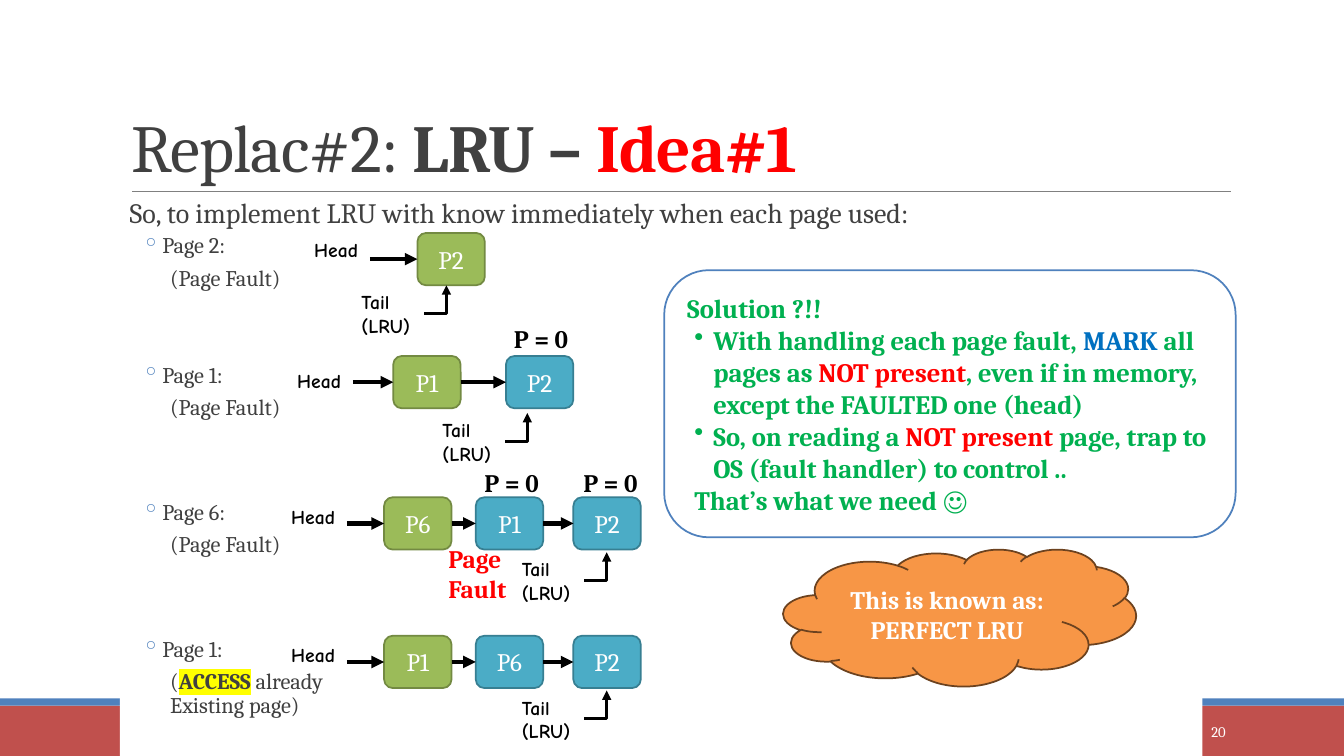
"""Build the slide on the first idea for LRU page replacement."""
from dataclasses import dataclass

from lxml.etree import SubElement
from pptx import Presentation
from pptx.dml.color import RGBColor
from pptx.enum.shapes import MSO_CONNECTOR as Link, MSO_SHAPE as Preset
from pptx.enum.text import MSO_ANCHOR as Anchor, MSO_AUTO_SIZE as AutoSize, PP_ALIGN as Align
from pptx.oxml.ns import qn
from pptx.util import Cm, Pt


@dataclass(frozen=True)
class Theme:
    serif: str = "Cambria"
    hand: str = "Comic Neue"
    ink: str = "404040"
    black: str = "000000"
    white: str = "FFFFFF"
    gray: str = "808080"
    red: str = "FF0000"
    bar_red: str = "C0504D"
    blue: str = "4F81BD"
    mark_blue: str = "0070C0"
    answer: str = "00B050"
    yellow: str = "FFFF00"
    orange: str = "F79646"
    brown: str = "6C421F"
    head_fill: str = "9BBB59"
    head_line: str = "738A42"
    page_fill: str = "4BACC6"
    page_line: str = "377F92"
    title: float = 48
    intro: float = 20
    solution: float = 19
    box: float = 18
    step: float = 16
    pointer: float = 14
    number: float = 10.5


THEME = Theme()
TITLE = [("Replac#2: ", {}), ("LRU – ", {"bold": True}), ("Idea#1", {"bold": True, "color": THEME.red})]
INTRO = "So, to implement LRU with know immediately when each page used:"
FAULT = [("(Page Fault)", {})]
ACCESS = [("(", {}), ("ACCESS", {"bold": True, "color": THEME.ink, "highlight": THEME.yellow}),
          (" already", {}), ("\v", {}), ("Existing page)", {})]
STEPS = [
    {"name": "Page 2:", "note": FAULT, "top": 5.9, "pages": [("P2", 10.52)], "page_top": 5.87,
     "head": (7.67, 5.87), "tail": (8.86, 7.19)},
    {"name": "Page 1:", "note": FAULT, "top": 9.17, "pages": [("P1", 9.91), ("P2", 12.75)], "page_top": 8.97,
     "head": (7.24, 9.17), "tail": (10.9, 10.41)},
    {"name": "Page 6:", "note": FAULT, "top": 12.62, "pages": [("P6", 9.68), ("P1", 11.99), ("P2", 14.45)],
     "page_top": 12.53, "head": (7.09, 12.6), "tail": (12.9, 13.92)},
    {"name": "Page 1:", "note": ACCESS, "top": 16.07, "pages": [("P1", 9.68), ("P6", 11.99), ("P2", 14.45)],
     "page_top": 16.02, "head": (7.09, 16.08), "tail": (12.9, 17.4)},
]
NOT_PRESENT = ("NOT present", {"color": THEME.red})
SOLUTION = [
    [("Solution ?!!", {})],
    [("With handling each page fault, ", {}), ("MARK", {"color": THEME.mark_blue}), (" all pages as ", {}),
     NOT_PRESENT, (", even if in memory, except the FAULTED one (head)", {})],
    [("So, on reading a ", {}), NOT_PRESENT, (" page, trap to OS (fault handler) to control ..", {})],
    [("That’s what we need ☺", {})],
]
SOLUTION_INDENTS = [(0, 0, None), (0.66, -0.48, "•"), (0.66, -0.48, "•"), (0.18, 0, None)]
CLOUD = "This is known as: PERFECT LRU"
PRESENT_BITS = [(12.7, 8.03), (11.96, 11.66), (14.45, 11.66)]
PAGE_WIDTH, PAGE_HEIGHT = 1.7, 1.32


def rgb(value):
    return RGBColor.from_string(value)


def indent(paragraph, margin, first, bullet=None, bullet_color=None):
    properties = paragraph._p.get_or_add_pPr()
    properties.set("marL", str(Cm(margin)))
    properties.set("indent", str(Cm(first)))
    if bullet_color:
        SubElement(SubElement(properties, qn("a:buClr")), qn("a:srgbClr")).set("val", bullet_color)
    if bullet:
        SubElement(properties, qn("a:buChar")).set("char", bullet)


def add_runs(paragraph, runs):
    for text, look in runs:
        if text == "\v":
            paragraph.add_line_break()
            continue
        run = paragraph.add_run()
        run.text = text
        if "bold" in look:
            run.font.bold = look["bold"]
        if "color" in look:
            run.font.color.rgb = rgb(look["color"])
        if "highlight" in look:
            highlight = SubElement(run.font._element, qn("a:highlight"))
            SubElement(highlight, qn("a:srgbClr")).set("val", look["highlight"])


def set_font(paragraph, size, color, bold=None, name=THEME.serif):
    font = paragraph.font
    font.size, font.bold, font.name = Pt(size), bold, name
    font.color.rgb = rgb(color)


def write(shape, text, size, color, bold=None, name=THEME.serif, align=Align.LEFT, anchor=Anchor.TOP):
    frame = shape.text_frame
    frame.word_wrap, frame.vertical_anchor = True, anchor
    frame.text = text
    for paragraph in frame.paragraphs:
        paragraph.alignment = align
        set_font(paragraph, size, color, bold, name)
    return frame


def add_box(slide, preset, place, fill, line=None):
    shape = slide.shapes.add_shape(preset, *map(Cm, place))
    shape.shadow.inherit = False
    shape.fill.solid()
    shape.fill.fore_color.rgb = rgb(fill)
    if line:
        shape.line.color.rgb = rgb(line)
        shape.line.width = Pt(1.25)
    else:
        shape.line.fill.background()
    return shape


def add_label(slide, place, text, size, color, **look):
    return write(slide.shapes.add_textbox(*map(Cm, place)), text, size, color, **look)


def add_line(slide, start, end, width, color=THEME.black, kind=Link.STRAIGHT, arrow=True):
    connector = slide.shapes.add_connector(kind, *map(Cm, start + end))
    connector.line.color.rgb = rgb(color)
    connector.line.width = Pt(width)
    properties = connector._element.spPr
    if arrow:
        SubElement(connector.line._get_or_add_ln(), qn("a:tailEnd")).set("type", "triangle")
    if kind == Link.ELBOW:
        properties.find(qn("a:prstGeom")).set("prst", "bentConnector2")
    SubElement(properties, qn("a:effectLst"))
    return connector


def add_step_text(slide, step):
    frame = slide.shapes.add_textbox(*map(Cm, (3.02, step["top"], 5.6, 2))).text_frame
    frame.word_wrap = True
    frame.margin_left = frame.margin_right = frame.margin_top = frame.margin_bottom = 0
    name, note = frame.paragraphs[0], frame.add_paragraph()
    indent(name, 1.07, -0.51, "◦", THEME.blue)
    indent(note, 1.27, 0)
    note.space_before = Pt(2)
    for paragraph, runs in ((name, [(step["name"], {})]), (note, step["note"])):
        paragraph.line_spacing, paragraph.space_after = 0.9, Pt(4)
        add_runs(paragraph, runs)
        set_font(paragraph, THEME.step, THEME.ink)


def add_queue(slide, step):
    top, middle = step["page_top"], step["page_top"] + PAGE_HEIGHT / 2
    head_left, head_top = step["head"]
    tail_left, tail_top = step["tail"]
    pages = []
    for index, (name, left) in enumerate(step["pages"]):
        colors = (THEME.page_fill, THEME.page_line) if index else (THEME.head_fill, THEME.head_line)
        page = add_box(slide, Preset.ROUNDED_RECTANGLE, (left, top, PAGE_WIDTH, PAGE_HEIGHT), *colors)
        write(page, name, THEME.box, THEME.white, align=Align.CENTER, anchor=Anchor.MIDDLE)
        pages.append(page)
    arrow = add_line(slide, (head_left + 1.65, middle), (step["pages"][0][1], middle), 3)
    arrow.end_connect(pages[0], 1)
    for before, after in zip(pages, pages[1:]):
        arrow = add_line(slide, (0, middle), (1, middle), 3)
        arrow.begin_connect(before, 3)
        arrow.end_connect(after, 1)
    for text, place in (("Head", (head_left, head_top, 1.9, 0.84)), ("Tail\v(LRU)", (tail_left, tail_top, 1.9, 1.45))):
        add_label(slide, place, text, THEME.pointer, THEME.black, bold=True, name=THEME.hand)
    add_line(slide, (tail_left + 1.83, tail_top + 0.71), (tail_left + 2.39, tail_top), 2.25, kind=Link.ELBOW)


def main():
    presentation = Presentation()
    presentation.slide_width, presentation.slide_height = Cm(33.87), Cm(19.05)
    slide = presentation.slides.add_slide(presentation.slide_layouts[5])
    add_box(slide, Preset.RECTANGLE, (0, 17.78, 33.87, 1.27), THEME.bar_red)
    add_box(slide, Preset.RECTANGLE, (0, 17.6, 33.87, 0.18), THEME.blue)
    add_line(slide, (3.33, 4.83), (31.01, 4.83), 0.5, THEME.gray, arrow=False)

    title = slide.shapes.title
    title.left, title.top, title.width, title.height = map(Cm, (3.05, 0.8, 27.94, 4.03))
    title.text_frame.auto_size, title.text_frame.vertical_anchor = AutoSize.NONE, Anchor.BOTTOM
    heading = title.text_frame.paragraphs[0]
    heading.alignment, heading.line_spacing = Align.LEFT, 0.85
    add_runs(heading, TITLE)
    set_font(heading, THEME.title, THEME.ink)
    for run in heading.runs:
        run.font._element.set("spc", "-50")

    panel = add_box(slide, Preset.RECTANGLE, (3.02, 4.9, 27.28, 14.15), THEME.white)
    write(panel, INTRO, THEME.intro, THEME.ink).paragraphs[0].line_spacing = 0.9
    add_label(slide, (27.51, 17.93, 3.63, 1.02), "20", THEME.number, THEME.white,
              align=Align.RIGHT, anchor=Anchor.MIDDLE)
    for step in STEPS:
        add_step_text(slide, step)
        add_queue(slide, step)

    solution = add_box(slide, Preset.ROUNDED_RECTANGLE, (16.74, 6.81, 14.4, 6.73), THEME.white, THEME.blue)
    frame = solution.text_frame
    frame.word_wrap, frame.vertical_anchor = True, Anchor.MIDDLE
    for index, (runs, margins) in enumerate(zip(SOLUTION, SOLUTION_INDENTS)):
        paragraph = frame.add_paragraph() if index else frame.paragraphs[0]
        indent(paragraph, *margins)
        paragraph.alignment = Align.LEFT
        add_runs(paragraph, runs)
        set_font(paragraph, THEME.solution, THEME.answer, bold=True)

    cloud = add_box(slide, Preset.CLOUD, (19.74, 13.84, 8.89, 3.45), THEME.orange, THEME.brown)
    write(cloud, CLOUD, THEME.box, THEME.white, bold=True, align=Align.CENTER, anchor=Anchor.MIDDLE)
    for left, top in PRESENT_BITS:
        add_label(slide, (left, top, 2.1, 1.02), "P = 0", THEME.box, THEME.black, bold=True)
    add_label(slide, (11.05, 13.56, 2.06, 1.8), "Page\nFault", THEME.box, THEME.red, bold=True)
    presentation.save("out.pptx")


if __name__ == "__main__":
    main()
